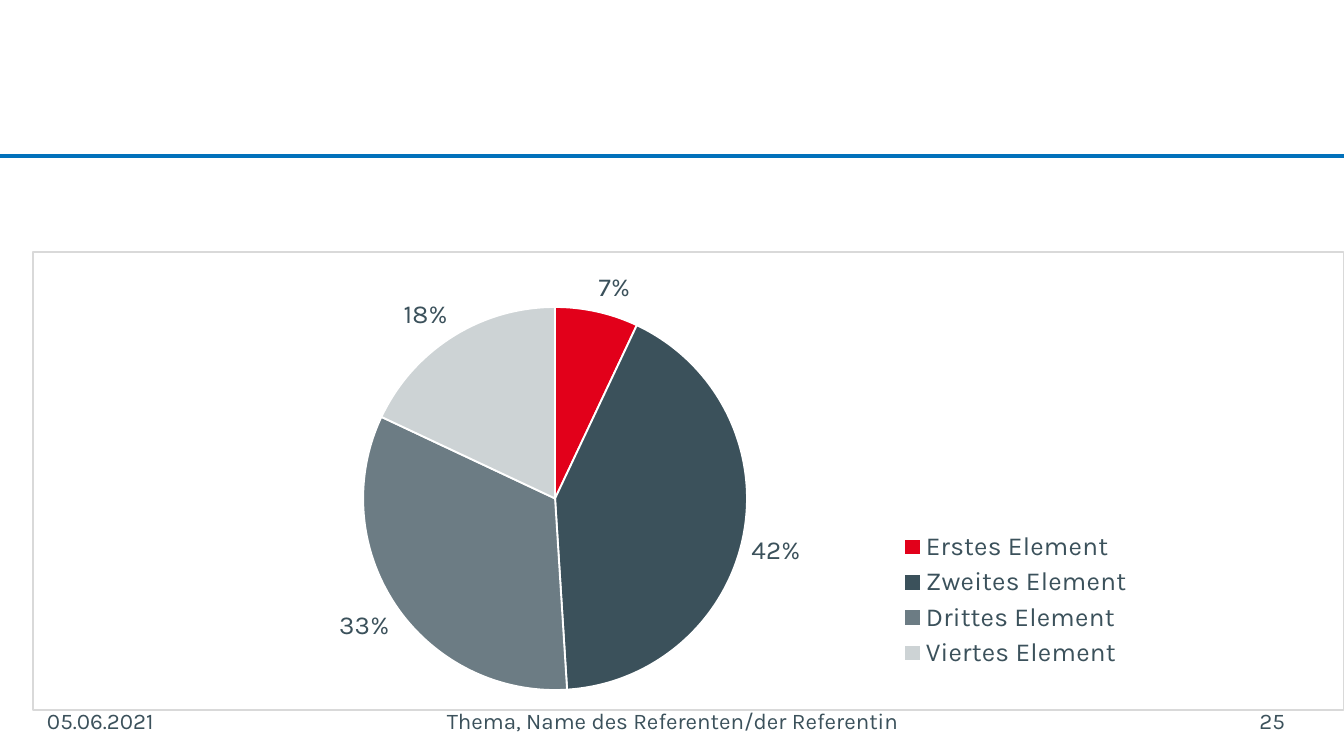
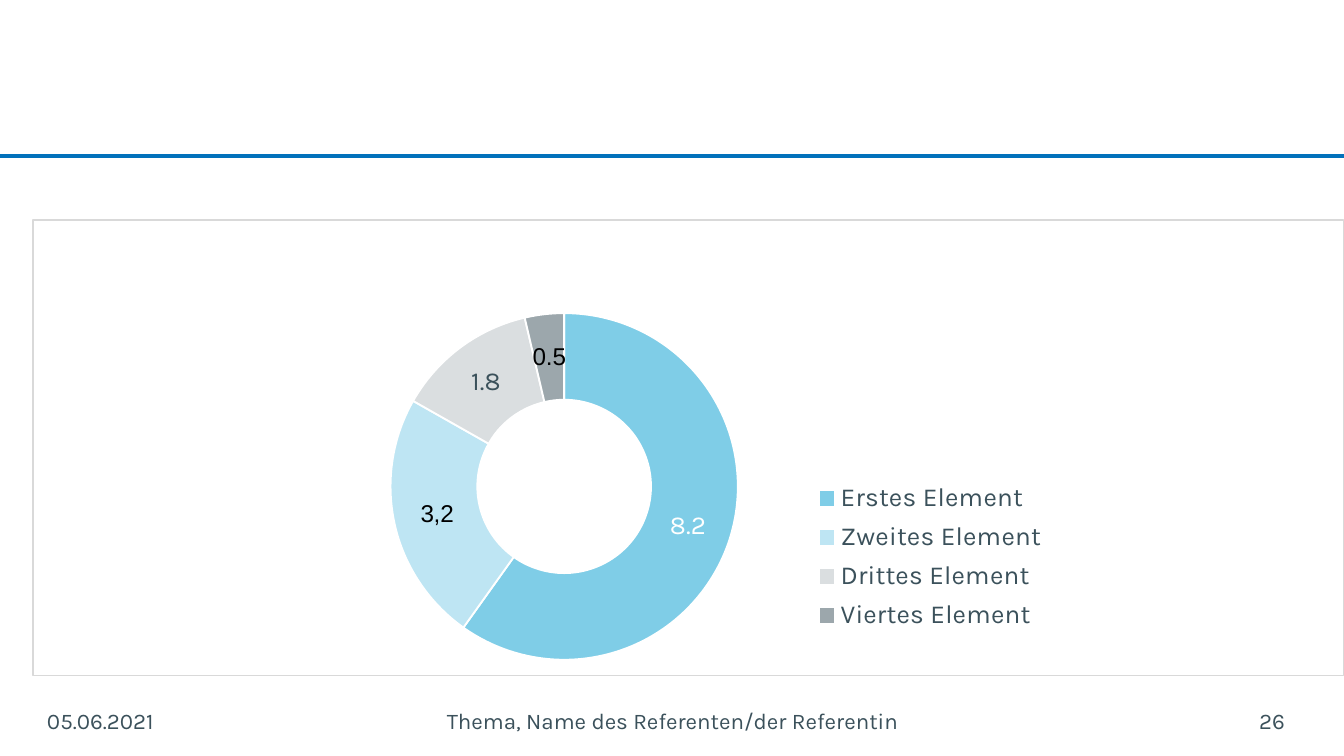
from pptx import Presentation
from pptx.chart.data import CategoryChartData as Data
from pptx.dml.color import RGBColor
from pptx.enum.chart import XL_CHART_TYPE as Kind
from pptx.enum.chart import XL_LABEL_POSITION as Spot
from pptx.enum.chart import XL_LEGEND_POSITION as Side
from pptx.enum.shapes import MSO_CONNECTOR as Link
from pptx.enum.text import MSO_ANCHOR as Anchor
from pptx.enum.text import PP_ALIGN as Align
from pptx.oxml import parse_xml
from pptx.oxml.ns import nsdecls, qn
from pptx.util import Pt

INK, BLUE, WHITE, GREY, BLACK = "3B515B", "0271BB", "FFFFFF", "D9D9D9", "000000"
FACE = "Karla"
NAMES = ["Erstes Element", "Zweites Element", "Drittes Element", "Viertes Element"]
NS = nsdecls("c", "a")


def color(code):
    return RGBColor.from_string(code)


def style(font, size=14, ink=INK, face=FACE):
    font.size, font.name = Pt(size), face
    font.color.rgb = color(ink)


def layout(box, inner=False):
    """Return a manual chart layout; box holds fractions of the chart area."""
    target = '<c:layoutTarget val="inner"/>' if inner else ""
    modes = '<c:xMode val="edge"/><c:yMode val="edge"/>'
    sizes = "".join(f'<c:{tag} val="{val}"/>' for tag, val in zip("xywh", box))
    return parse_xml(f"<c:layout {NS}><c:manualLayout>{target}{modes}{sizes}"
                     "</c:manualLayout></c:layout>")


def paint(fill, code, alpha=100):
    fill.solid()
    fill.fore_color.rgb = color(code)
    if alpha < 100:
        node = fill._xPr.find(".//" + qn("a:srgbClr"))
        node.append(parse_xml(f'<a:alpha {NS} val="{alpha * 1000}"/>'))


class Deck:
    def __init__(self):
        self.prs = Presentation()
        self.prs.slide_width, self.prs.slide_height = Pt(720), Pt(405)
        self.slide = None

    def page(self, num):
        """Start a slide with its rule and footer."""
        self.slide = self.prs.slides.add_slide(self.prs.slide_layouts[6])
        self.rule(83.5)
        self.text("05.06.2021", 25.2, 167.8, left=0)
        self.text("Thema, Name des Referenten/der Referentin", 223.9, 272.9,
                  align=Align.CENTER)
        self.text(str(num), 520.6, 167.8, align=Align.RIGHT, right=0)

    def rule(self, y):
        line = self.slide.shapes.add_connector(Link.STRAIGHT, 0, Pt(y), Pt(720), Pt(y))
        line.line.color.rgb = color(BLUE)
        line.line.width = Pt(2)
        line._element.spPr.append(parse_xml(f"<a:effectLst {NS}/>"))

    def text(self, words, x, w, y=375.1, h=21.6, align=Align.LEFT,
             left=7.2, right=7.2, size=12):
        box = self.slide.shapes.add_textbox(Pt(x), Pt(y), Pt(w), Pt(h))
        frame = box.text_frame
        frame.word_wrap = True
        frame.vertical_anchor = Anchor.MIDDLE
        frame.margin_left, frame.margin_right = Pt(left), Pt(right)
        para = frame.paragraphs[0]
        para.text, para.alignment = words, align
        style(para.font, size)

    def chart(self, kind, y, h, vals, fills, plot, key):
        """Add a round chart; plot and key place the plot and the legend."""
        data = Data()
        data.categories = NAMES
        data.add_series("Series 1", vals)
        chart = self.slide.shapes.add_chart(
            kind, Pt(17.3), Pt(y), Pt(702.7), Pt(h), data).chart
        chart.has_title = False
        style(chart.font, 10, BLACK, "Arial")
        self.frame(chart, plot)
        self.legend(chart, key)
        series = chart.plots[0].series[0]
        for i, (code, alpha) in enumerate(fills):
            form = series.points[i].format
            paint(form.fill, code, alpha)
            form.line.color.rgb = color(WHITE)
            form.line.width = Pt(1)
        style(series.data_labels.font)
        return series

    def frame(self, chart, plot):
        root = chart._chartSpace
        root.find(qn("c:chart")).addnext(parse_xml(
            f'<c:spPr {NS}><a:noFill/><a:ln w="{Pt(0.75)}"><a:solidFill>'
            f'<a:srgbClr val="{GREY}"/></a:solidFill></a:ln></c:spPr>'))
        area = root.find(".//" + qn("c:plotArea"))
        for old in area.findall(qn("c:layout")):
            area.remove(old)
        area.insert(0, layout(plot, inner=True))
        area.append(parse_xml(
            f'<c:spPr {NS}><a:solidFill><a:srgbClr val="{WHITE}"/></a:solidFill>'
            "<a:ln><a:noFill/></a:ln></c:spPr>"))

    def legend(self, chart, key):
        chart.has_legend = True
        legend = chart.legend
        legend.position = Side.RIGHT
        legend.include_in_layout = False
        style(legend.font)
        node = legend._element
        for old in node.findall(qn("c:layout")):
            node.remove(old)
        node.find(qn("c:legendPos")).addnext(layout(key))


def main():
    deck = Deck()

    deck.page(25)
    pie = deck.chart(
        Kind.PIE, 134.6, 246.2, [7, 42, 33, 18],
        [("E2001A", 100), (INK, 100), (INK, 75), ("9DA8AD", 50)],
        plot=(0.252, 0.12, 0.293, 0.837), key=(0.655, 0.6, 0.19, 0.32))
    labels = pie.data_labels
    labels.show_value, labels.show_percentage = False, True
    labels.number_format, labels.number_format_is_linked = "0%", False
    labels.position = Spot.OUTSIDE_END

    deck.page(26)
    ring = deck.chart(
        Kind.DOUGHNUT, 117.4, 244.8, [8.2, 3.2, 1.8, 0.5],
        [("009CD1", 50), ("7FCDE8", 50), ("B6BFC3", 50), (INK, 50)],
        plot=(0.264, 0.205, 0.283, 0.761), key=(0.59, 0.56, 0.19, 0.36))
    ring.data_labels.show_value = True
    style(ring.points[0].data_label.font, ink=WHITE)
    for i, words in ((1, "3,2"), (3, "0.5")):
        para = ring.points[i].data_label.text_frame.paragraphs[0]
        run = para.add_run()
        run.text = words
        style(run.font, 13, BLACK, "Arial")

    deck.prs.save("out.pptx")


if __name__ == "__main__":
    main()
